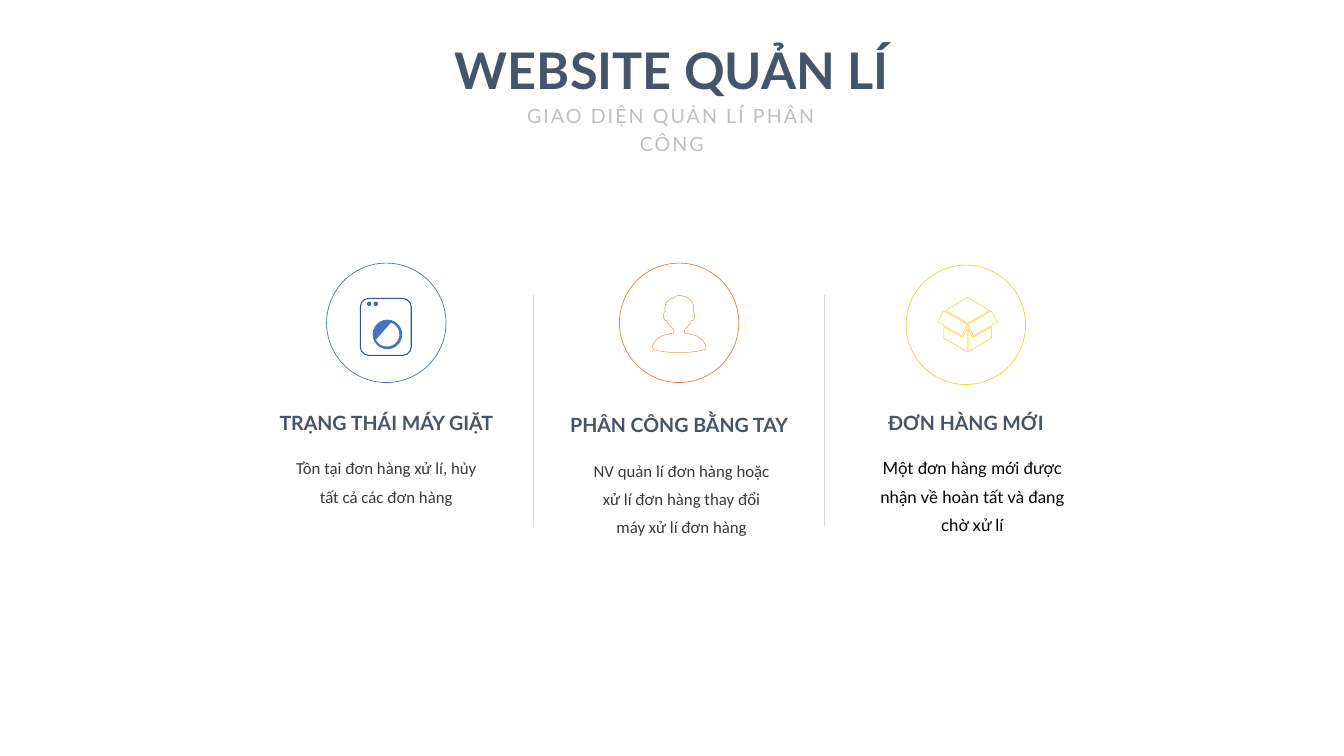
from lxml.etree import SubElement
from pptx import Presentation
from pptx.dml.color import RGBColor
from pptx.enum.shapes import MSO_CONNECTOR, MSO_SHAPE as Preset
from pptx.enum.text import MSO_ANCHOR as Anchor, MSO_AUTO_SIZE as AutoSize, PP_ALIGN as Align
from pptx.oxml.ns import qn
from pptx.util import Cm, Pt

NAVY = RGBColor(0x44, 0x54, 0x6A)
SILVER = RGBColor(0xBF, 0xBF, 0xBF)
RULE_GREY = RGBColor(0xD9, 0xD9, 0xD9)
CHARCOAL = RGBColor(0x3B, 0x38, 0x38)
BLACK = RGBColor(0, 0, 0)
WHITE = RGBColor(0xFF, 0xFF, 0xFF)
BLUE = RGBColor(0x44, 0x72, 0xC4)
DARK_BLUE = RGBColor(0x32, 0x54, 0x91)
ORANGE = RGBColor(0xED, 0x7D, 0x31)
LIGHT_ORANGE = RGBColor(0xED, 0x94, 0x44)
YELLOW = RGBColor(0xFF, 0xCC, 0x32)

RING_SIZE = 6.02
COLUMN_WIDTH = 10.54
ICON_UNIT = Cm(0.0254)

CROWN_LEFT = [(118, 64), (114, 65), (111, 67), (107, 70), (104, 70), (99, 73), (96, 75),
              (93, 79), (91, 84), (90, 90), (91, 96)]
CROWN_RIGHT = [(146, 96), (147, 91), (147, 85), (146, 81), (144, 76), (141, 73),
               (138, 70), (133, 67), (128, 66), (120, 64)]
FACE_AND_SHOULDER = [(89, 97), (88, 101), (88, 109), (90, 113), (92, 114), (94, 114),
                     (96, 120), (100, 124), (104, 128), (108, 132), (108, 139), (100, 140),
                     (93, 142), (85, 144), (79, 148), (74, 151), (70, 156), (67, 161),
                     (65, 167), (65, 170), (69, 172), (77, 174), (90, 176), (102, 177)]
BOX_LID = [(122, 64), (78, 90), (122, 115), (166, 90)]
BOX_SIDE = [(169, 123), (135, 142), (134, 143), (133, 143), (132, 142), (131, 141),
            (123, 126), (123, 172), (169, 145)]
BOX_FLAP = [(169, 91), (122, 118), (134, 140), (181, 113)]


def add_text(slide, text, left, top, width, height, size, color, font="Lato", bold=False,
             wrap=True, inset=(0.61, 0.3), anchor=Anchor.TOP, line_spacing=None,
             space_before=0, tracking=None):
    box = slide.shapes.add_textbox(Cm(left), Cm(top), Cm(width), Cm(height))
    frame = box.text_frame
    frame.word_wrap = wrap
    frame.auto_size = AutoSize.SHAPE_TO_FIT_TEXT
    frame.vertical_anchor = anchor
    frame.margin_left = frame.margin_right = Cm(inset[0])
    frame.margin_top = frame.margin_bottom = Cm(inset[1])
    paragraph = frame.paragraphs[0]
    paragraph.alignment = Align.CENTER
    paragraph.space_before = Pt(space_before)
    if line_spacing:
        paragraph.line_spacing = line_spacing
    run = paragraph.add_run()
    run.text = text
    run.font.size = Pt(size)
    run.font.name = font
    run.font.bold = bold
    run.font.color.rgb = color
    if tracking:
        run._r.get_or_add_rPr().set("spc", str(tracking * 100))


def paint(shape, fill=None, line=None, weight=1):
    shape.shadow.inherit = False
    if fill is None:
        shape.fill.background()
    else:
        shape.fill.solid()
        shape.fill.fore_color.rgb = fill
    if line is None:
        shape.line.fill.background()
    else:
        shape.line.color.rgb = line
        shape.line.width = Pt(weight)


def add_preset(slide, preset, left, top, width, height, rotation=0, **style):
    shape = slide.shapes.add_shape(preset, Cm(left), Cm(top), Cm(width), Cm(height))
    shape.rotation = rotation
    paint(shape, **style)


def add_outline(slide, left, top, points, color):
    builder = slide.shapes.build_freeform(*points[0], scale=ICON_UNIT)
    builder.add_line_segments(points[1:], close=True)
    paint(builder.convert_to_shape(Cm(left), Cm(top)), line=color, weight=0.75)


def mirror(points, span):
    return [(span - x, y) for x, y in points]


def draw_washer(slide, left, top):
    add_preset(slide, Preset.ROUNDED_RECTANGLE, left + 1.7, top + 1.78, 2.57, 2.87,
               line=DARK_BLUE, weight=1.5)
    add_preset(slide, Preset.OVAL, left + 2.34, top + 2.87, 1.45, 1.45, fill=BLUE, line=BLUE)
    add_preset(slide, Preset.CHORD, left + 2.44, top + 2.97, 1.22, 1.24,
               rotation=243.8, fill=WHITE)
    for button_left in (2.06, 2.39):
        add_preset(slide, Preset.OVAL, left + button_left, top + 1.96, 0.18, 0.18,
                   fill=BLUE, line=DARK_BLUE)


def draw_person(slide, left, top):
    right_half = mirror(FACE_AND_SHOULDER, 237)[::-1]
    silhouette = CROWN_LEFT + FACE_AND_SHOULDER + right_half + CROWN_RIGHT
    add_outline(slide, left, top, silhouette, LIGHT_ORANGE)


def draw_package(slide, left, top):
    for panel in (BOX_SIDE, mirror(BOX_SIDE, 244), BOX_LID,
                  mirror(BOX_FLAP, 244), BOX_FLAP):
        add_outline(slide, left, top, panel, YELLOW)


def draw_header(slide, left, top, width):
    add_text(slide, "WEBSITE QUẢN LÍ", left, top, width, 3.33, 72, NAVY, bold=True,
             wrap=False, inset=(0.25, 0.13))
    subtitle_width = 19.02
    add_text(slide, "GIAO DIỆN QUẢN LÍ PHÂN CÔNG", left + (width - subtitle_width) / 2,
             top + 2.87, subtitle_width, 1.9, 28, SILVER, line_spacing=1.2,
             space_before=5.6, tracking=3)


def draw_column(slide, left, top, ring_shift, text_shift, ring_color, draw_icon, heading,
                body, font="Calibri", body_color=CHARCOAL):
    ring_left, ring_top = left + ring_shift[0], top + ring_shift[1]
    text_top = top + 7.31 + text_shift
    add_preset(slide, Preset.OVAL, ring_left, ring_top, RING_SIZE, RING_SIZE, line=ring_color)
    draw_icon(slide, ring_left, ring_top)
    heading_width = 11.64
    add_text(slide, heading, ring_left + (RING_SIZE - heading_width) / 2, text_top,
             heading_width, 1.45, 28, NAVY, bold=True, wrap=False, inset=(0.25, 0.13),
             anchor=Anchor.MIDDLE)
    add_text(slide, body, left, text_top + 1.81, COLUMN_WIDTH, 4.74, 24, body_color,
             font=font, line_spacing=Pt(40.4), space_before=4.8)


def draw_divider(slide, x, top, height):
    rule = slide.shapes.add_connector(MSO_CONNECTOR.STRAIGHT, Cm(x), Cm(top),
                                      Cm(x), Cm(top + height))
    rule.line.color.rgb = RULE_GREY
    rule.line.width = Pt(1)
    SubElement(rule._element.spPr, qn("a:effectLst"))


def main():
    deck = Presentation()
    deck.slide_width, deck.slide_height = Cm(67.74), Cm(38.1)
    slide = deck.slides.add_slide(deck.slide_layouts[6])
    draw_header(slide, 22.66, 1.83, 22.4)
    for x in (26.9, 41.55):
        draw_divider(slide, x, 14.88, 11.66)
    draw_column(slide, 14.2, 13.26, (2.26, 0), 0, BLUE, draw_washer, "TRẠNG THÁI MÁY GIẶT",
                "Tồn tại đơn hàng xử lí, hủy tất cả các đơn hàng")
    draw_column(slide, 29.08, 13.26, (2.14, 0), 0.11, ORANGE, draw_person,
                "PHÂN CÔNG BẰNG TAY",
                "NV quản lí đơn hàng hoặc xử lí đơn hàng thay đổi máy xử lí đơn hàng")
    draw_column(slide, 43.74, 13.26, (1.93, 0.1), 0, YELLOW, draw_package, "ĐƠN HÀNG MỚI",
                "Một đơn hàng mới được nhận về hoàn tất và đang chờ xử lí",
                font="Lato", body_color=BLACK)
    deck.save("out.pptx")


if __name__ == "__main__":
    main()
